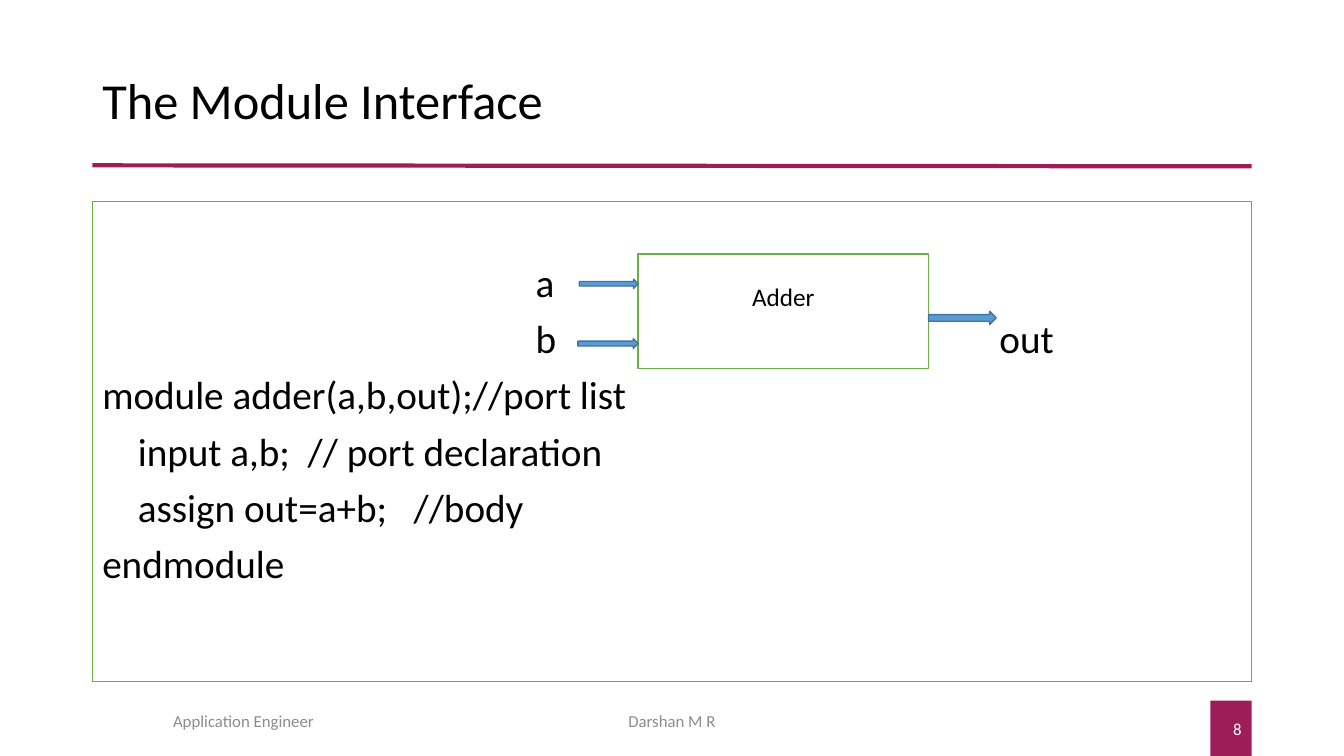
import lxml.etree
import pptx
import pptx.dml.color
import pptx.enum.shapes
import pptx.enum.text
import pptx.oxml.ns
import pptx.util

Pt = pptx.util.Pt
RGBColor = pptx.dml.color.RGBColor
SHAPE = pptx.enum.shapes.MSO_SHAPE
ALIGN = pptx.enum.text.PP_ALIGN
ANCHOR = pptx.enum.text.MSO_ANCHOR

BLACK = RGBColor(0x00, 0x00, 0x00)
WHITE = RGBColor(0xFF, 0xFF, 0xFF)
GRAY = RGBColor(0x8C, 0x8C, 0x8C)
CRIMSON = RGBColor(0x9D, 0x1D, 0x59)
GREEN = RGBColor(0x70, 0xAD, 0x47)
BLUE = RGBColor(0x5B, 0x9B, 0xD5)
DARK_BLUE = RGBColor(0x43, 0x73, 0x9E)

FONT = "Calibri"
PORT_TABS = (309.6, 640.8)
CODE_INDENT = 25.4
MODULE_LINES = (
    ("\ta", 0),
    ("\tb\tout", 0),
    ("module adder(a,b,out);//port list", 0),
    ("input a,b;  // port declaration", CODE_INDENT),
    ("assign out=a+b;   //body", CODE_INDENT),
    ("endmodule", 0),
)


def format_paragraph(paragraph, size, color, align=ALIGN.LEFT):
    """Align a paragraph and style its runs."""
    paragraph.alignment = align
    for run in paragraph.runs:
        run.font.name = FONT
        run.font.size = Pt(size)
        run.font.color.rgb = color


def add_block(slide, preset, box, fill, line=None):
    """Add a filled shape without shadow, outlined when a line colour is given."""
    shape = slide.shapes.add_shape(preset, *map(Pt, box))
    shape.shadow.inherit = False
    shape.fill.solid()
    shape.fill.fore_color.rgb = fill
    if line is None:
        shape.line.fill.background()
    else:
        shape.line.color.rgb = line
        shape.line.width = Pt(1)
    return shape


def add_label(slide, box, text, size, color, align):
    """Add a vertically centred line of text."""
    text_frame = slide.shapes.add_textbox(*map(Pt, box)).text_frame
    text_frame.word_wrap = True
    text_frame.vertical_anchor = ANCHOR.MIDDLE
    text_frame.text = text
    format_paragraph(text_frame.paragraphs[0], size, color, align)
    return text_frame


def add_heading(slide, box):
    """Add the title with its rule near the bottom of the box."""
    left, top, width, height = box
    text_frame = add_label(slide, box, "The Module Interface", 36, BLACK, ALIGN.LEFT)
    text_frame.paragraphs[0].line_spacing = 0.9
    rule_top = top + height - 0.7
    rule = slide.shapes.add_connector(
        pptx.enum.shapes.MSO_CONNECTOR.STRAIGHT,
        Pt(left), Pt(rule_top), Pt(left + width), Pt(rule_top + 0.7))
    rule.line.color.rgb = CRIMSON
    rule.line.width = Pt(3)
    properties = rule.element.find(pptx.oxml.ns.qn("p:spPr"))
    lxml.etree.SubElement(properties, pptx.oxml.ns.qn("a:effectLst"))


def add_port_tabs(paragraph):
    """Set the tab stops that hold the port names."""
    properties = paragraph._p.get_or_add_pPr()
    tab_list = lxml.etree.SubElement(properties, pptx.oxml.ns.qn("a:tabLst"))
    for position in PORT_TABS:
        tab = lxml.etree.SubElement(tab_list, pptx.oxml.ns.qn("a:tab"))
        tab.set("pos", str(int(Pt(position))))
        tab.set("algn", "l")


def add_module_panel(slide, box):
    """Add the outlined panel with the port names and the module code."""
    text_frame = add_block(slide, SHAPE.RECTANGLE, box, WHITE, GREEN).text_frame
    text_frame.word_wrap = True
    text_frame.vertical_anchor = ANCHOR.TOP
    text_frame.margin_top = Pt(44)
    text_frame.text = "\n".join(text for text, indent in MODULE_LINES)
    for paragraph, (text, indent) in zip(text_frame.paragraphs, MODULE_LINES):
        format_paragraph(paragraph, 28, BLACK)
        paragraph.line_spacing = 0.9
        paragraph.space_before = Pt(10)
        if indent:
            paragraph._p.get_or_add_pPr().set("marL", str(int(Pt(indent))))
        if "\t" in text:
            add_port_tabs(paragraph)


def add_adder(slide, box):
    """Add the adder block with its two input arrows and its output arrow."""
    left, top, width, height = box
    text_frame = add_block(slide, SHAPE.RECTANGLE, box, WHITE, GREEN).text_frame
    text_frame.vertical_anchor = ANCHOR.MIDDLE
    text_frame.margin_bottom = Pt(25.6)
    text_frame.text = "Adder"
    format_paragraph(text_frame.paragraphs[0], 18, BLACK, ALIGN.CENTER)
    arrows = (
        (left - 42, top + 18, 42, 6.6),
        (left - 43, top + 60.5, 43, 7),
        (left + width, top + 41, 48.4, 9.4),
    )
    for arrow in arrows:
        add_block(slide, SHAPE.RIGHT_ARROW, arrow, BLUE, DARK_BLUE)


def add_footer(slide, box):
    """Add the role, the author and the page number tab."""
    left, top, width, height = box
    add_label(slide, (left, top, 216, 28.8), "Application Engineer", 12, GRAY, ALIGN.CENTER)
    add_label(slide, (left + width / 2 - 162, top, 324, 28.8), "Darshan M R", 12, GRAY, ALIGN.CENTER)
    tab_width = 29.5
    number_box = (left + width - tab_width, top, tab_width, height)
    text_frame = add_block(slide, SHAPE.RECTANGLE, number_box, CRIMSON).text_frame
    text_frame.vertical_anchor = ANCHOR.MIDDLE
    text_frame.text = "8"
    format_paragraph(text_frame.paragraphs[0], 12, WHITE, ALIGN.RIGHT)


def main():
    """Build the slide and save the presentation."""
    presentation = pptx.Presentation()
    presentation.slide_width = Pt(960)
    presentation.slide_height = Pt(540)
    slide = presentation.slides.add_slide(presentation.slide_layouts[6])
    left, width = 66, 828
    add_heading(slide, (left, 28.8, width, 90))
    add_module_panel(slide, (left, 144, width, 342.7))
    add_adder(slide, (455.8, 181.4, 207.4, 82.1))
    add_footer(slide, (left, 500.4, width, 39.6))
    presentation.save("out.pptx")


if __name__ == "__main__":
    main()
